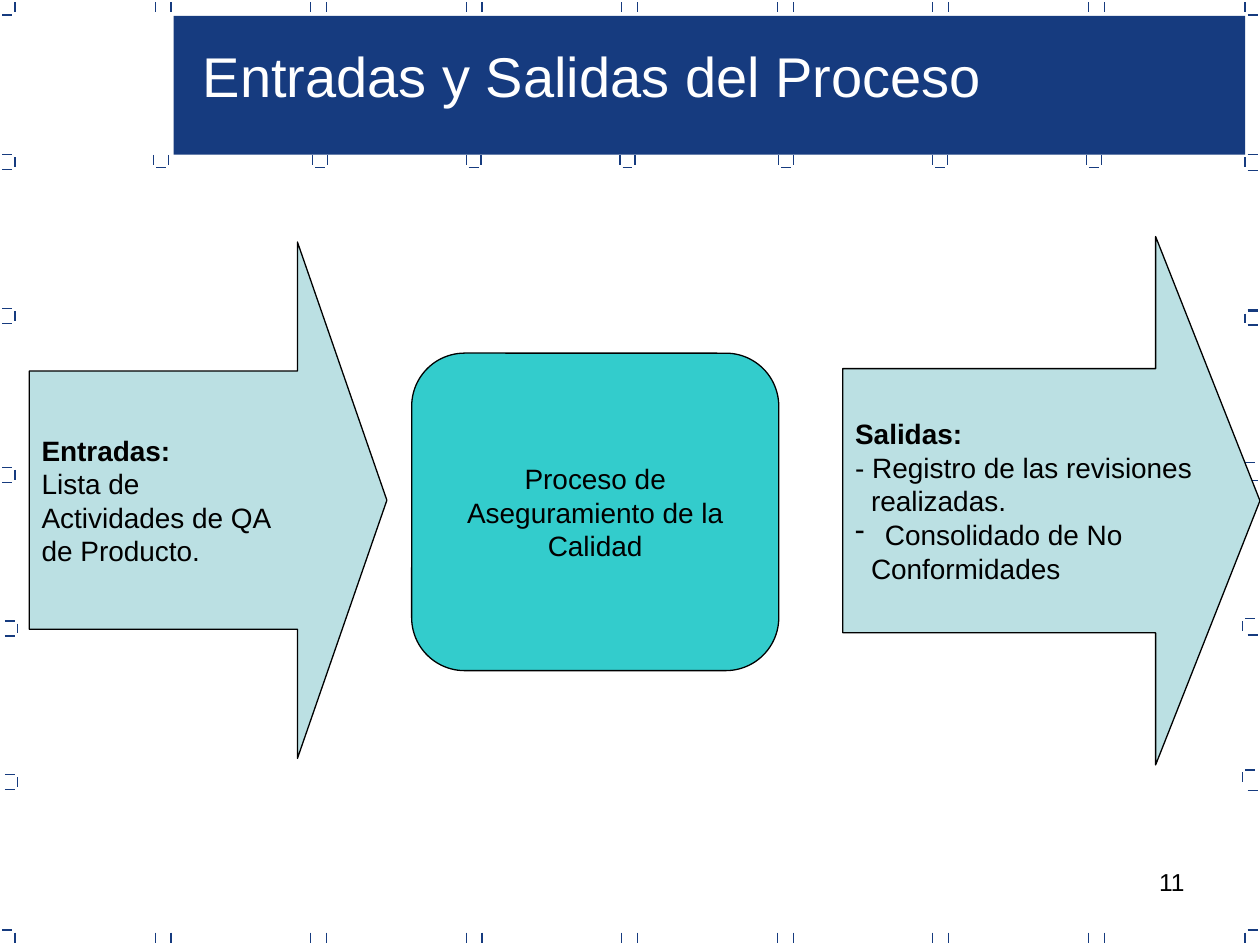
from lxml import etree
from pptx import Presentation
from pptx.dml.color import RGBColor
from pptx.enum import shapes, text
from pptx.oxml.ns import qn
from pptx.util import Cm, Pt

COLORS = {"navy": "163B7F", "pale": "BBE0E3", "teal": "33CCCC",
          "black": "000000", "white": "FFFFFF"}

deck = Presentation()
deck.slide_width, deck.slide_height = Cm(25.4), Cm(19.05)
slide = deck.slides.add_slide(deck.slide_layouts[6])


def tick(x1, y1, x2, y2):
    """Draw one thin navy border mark, in centimetres."""
    mark = slide.shapes.add_connector(
        shapes.MSO_CONNECTOR.STRAIGHT, Cm(x1), Cm(y1), Cm(x2), Cm(y2))
    mark.line.color.rgb = RGBColor.from_string(COLORS["navy"])
    mark.line.width = Pt(0.74)
    etree.SubElement(mark._element.spPr, qn("a:effectLst"))


def write(shape, words, size, color, align):
    """Fill a shape with wrapped Arial text and return its paragraphs."""
    frame = shape.text_frame
    frame.text = words
    frame.word_wrap = True
    for paragraph in frame.paragraphs:
        paragraph.alignment = align
        for run in paragraph.runs:
            run.font.name = "Arial"
            run.font.size = Pt(size)
            run.font.color.rgb = RGBColor.from_string(COLORS[color])
    return frame.paragraphs


# Border marks along the top and bottom edges
for column in range(7):
    right = 3.45 + 3.135 * column
    for x in (right - 0.32, right):
        for y in (0.05, 18.8):
            tick(x, y, x, y + 0.2)

# Corner marks
for x, side in ((0.3, 0.05), (25.1, 25.15)):
    if x < 1:
        side = x - 0.25
    for y, level in ((0.05, 0.3), (18.8, 18.75)):
        tick(x, y, x, y + 0.2)
        tick(side, level, side + 0.2, level)

# Marks down the left edge
for x, top in ((0.3, 3.12), (0.3, 6.22), (0.3, 9.42), (0.35, 12.52), (0.35, 15.62)):
    tick(x, top + 0.05, x, top + 0.25)
    for y in (top, top + 0.3):
        tick(x - 0.25, y, x - 0.05, y)

# Marks down the right edge
for x, top in ((25.1, 3.12), (25.1, 6.27), (25.05, 9.32), (25.05, 12.47), (25.05, 15.52)):
    tick(x, top + 0.05, x, top + 0.25)
    tick(x + 0.05, top, x + 0.25, top)
for y in (3.43, 6.25, 6.55, 9.68, 12.8, 15.93):
    tick(25.15, y, 25.35, y)

# Title banner with brackets below it
banner = slide.shapes.add_shape(
    shapes.MSO_SHAPE.RECTANGLE, Cm(3.5), Cm(0.32), Cm(21.6), Cm(2.8))
banner.shadow.inherit = False
banner.fill.solid()
banner.fill.fore_color.rgb = RGBColor.from_string(COLORS["navy"])
banner.line.fill.background()
for right in (3.4, 6.6, 9.7, 12.8, 16, 19.1, 22.2):
    for x in (right - 0.3, right):
        tick(x, 3.12, x, 3.33)
    tick(right - 0.25, 3.38, right - 0.05, 3.38)

title = slide.shapes.add_textbox(Cm(3.84), Cm(0.71), Cm(17.27), Cm(1.63))
write(title, "Entradas y Salidas del Proceso", 32, "white", text.PP_ALIGN.LEFT)
page_number = slide.shapes.add_textbox(Cm(18.21), Cm(17.35), Cm(5.92), Cm(1.32))
write(page_number, "11", 14, "black", text.PP_ALIGN.RIGHT)

# Inputs, process and outputs
ARROW, BOX = shapes.MSO_SHAPE.RIGHT_ARROW, shapes.MSO_SHAPE.ROUNDED_RECTANGLE
LEFT, CENTER = text.PP_ALIGN.LEFT, text.PP_ALIGN.CENTER
stages = [
    (ARROW, (0.59, 4.88, 7.21, 10.41), (0.5, 0.25), "pale", LEFT,
     "Entradas:\vLista de\nActividades de QA\nde Producto."),
    (BOX, (8.3, 7.12, 7.4, 6.4), (0.167,), "teal", CENTER,
     "Proceso de Aseguramiento de la Calidad"),
    (ARROW, (16.99, 4.77, 8.41, 10.65), (0.5, 0.25), "pale", LEFT,
     "Salidas:\v- Registro de las revisiones\nrealizadas.\n"
     "Consolidado de No\nConformidades"),
]
for kind, place, adjustments, fill, align, words in stages:
    stage = slide.shapes.add_shape(kind, *map(Cm, place))
    stage.shadow.inherit = False
    for index, value in enumerate(adjustments):
        stage.adjustments[index] = value
    stage.fill.solid()
    stage.fill.fore_color.rgb = RGBColor.from_string(COLORS[fill])
    stage.line.color.rgb = RGBColor.from_string(COLORS["black"])
    stage.line.width = Pt(0.74)
    stage.text_frame.vertical_anchor = text.MSO_ANCHOR.MIDDLE
    lines = write(stage, words, 16, "black", align)
    if kind == ARROW:
        lines[0].runs[0].font.bold = True

# Indents and dash in the outputs, the last stage
heading, done, dashed, last = lines
for line, margin, indent in ((done, 0.32, 0), (dashed, 0.6, -0.6), (last, 0.32, 0)):
    properties = line._p.get_or_add_pPr()
    properties.set("marL", str(Cm(margin)))
    properties.set("indent", str(Cm(indent)))
etree.SubElement(dashed._p.get_or_add_pPr(), qn("a:buChar")).set("char", "-")

deck.save("out.pptx")
